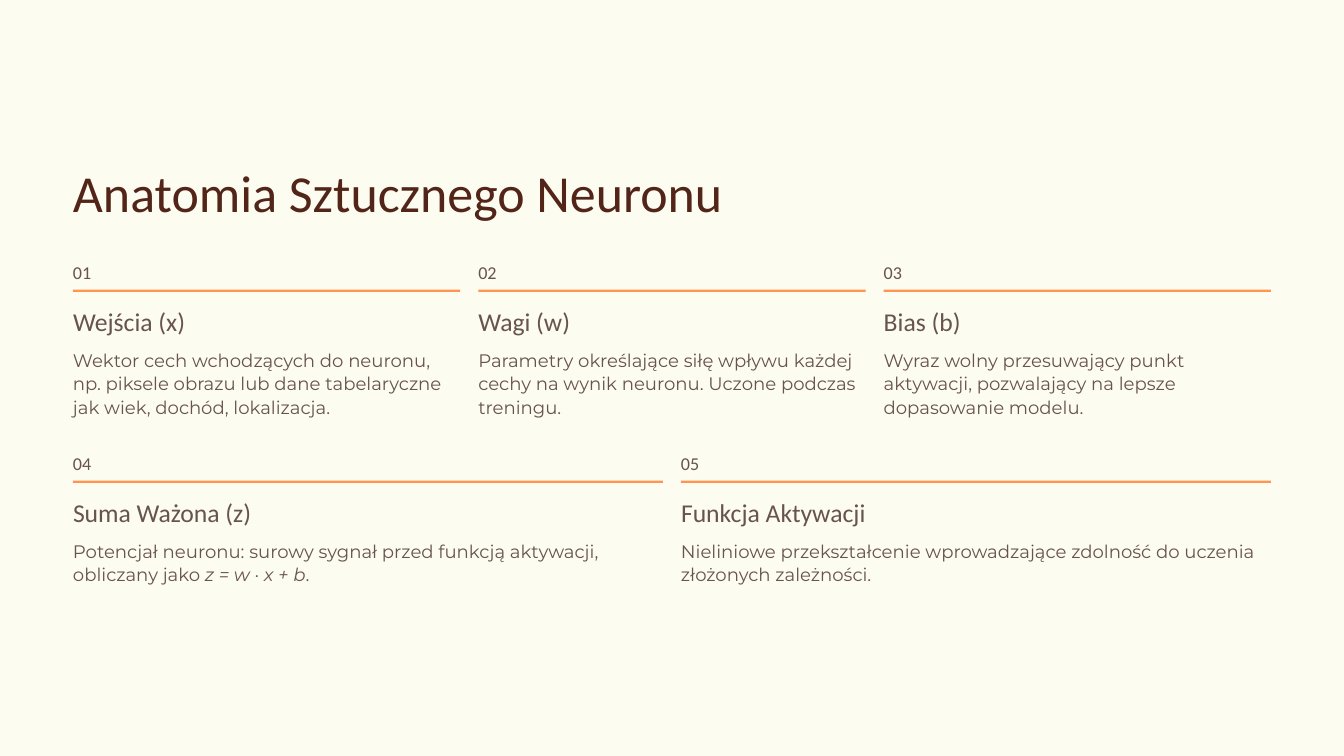
from dataclasses import dataclass

from pptx import Presentation
from pptx.dml.color import RGBColor
from pptx.enum.shapes import MSO_SHAPE
from pptx.slide import Slide
from pptx.util import Pt

CREAM = RGBColor(0xFD, 0xFC, 0xF0)
ORANGE = RGBColor(0xFF, 0x95, 0x4F)
BROWN = RGBColor(0x53, 0x24, 0x18)
TAUPE = RGBColor(0x67, 0x53, 0x4F)

LEFT = 62.6
CONTENT_WIDTH = 1026.8
GAP = 15.5


@dataclass(frozen=True)
class TextStyle:
    font: str
    size: float
    line_spacing: float
    color: RGBColor
    wrap: bool = False


@dataclass(frozen=True)
class Run:
    text: str
    italic: bool = False


@dataclass(frozen=True)
class Card:
    heading: str
    body: tuple[Run, ...]


@dataclass(frozen=True)
class Row:
    top: float
    body_height: float
    cards: tuple[Card, ...]


TITLE = TextStyle("Calibri", 44.5, 58, BROWN)
NUMBER = TextStyle("Calibri", 15.5, 20, TAUPE)
HEADING = TextStyle("Calibri", 22, 29, TAUPE)
BODY = TextStyle("Montserrat", 15.5, 20, TAUPE, wrap=True)

ROWS = (
    Row(222.6, 61, (
        Card("Wejścia (x)", (Run(
            "Wektor cech wchodzących do neuronu, np. piksele obrazu "
            "lub dane tabelaryczne jak wiek, dochód, lokalizacja."),)),
        Card("Wagi (w)", (Run(
            "Parametry określające siłę wpływu każdej cechy na wynik "
            "neuronu. Uczone podczas treningu."),)),
        Card("Bias (b)", (Run(
            "Wyraz wolny przesuwający punkt aktywacji, pozwalający "
            "na lepsze dopasowanie modelu."),)),
    )),
    Row(386.3, 41, (
        Card("Suma Ważona (z)", (
            Run("Potencjał neuronu: surowy sygnał przed funkcją aktywacji, "
                "obliczany jako "),
            Run("z = w · x + b", italic=True),
            Run("."))),
        Card("Funkcja Aktywacji", (Run(
            "Nieliniowe przekształcenie wprowadzające zdolność do uczenia "
            "złożonych zależności."),)),
    )),
)


def add_text(slide: Slide, left: float, top: float, width: float,
             height: float, runs: tuple[Run, ...], style: TextStyle) -> None:
    shape = slide.shapes.add_textbox(Pt(left), Pt(top), Pt(width), Pt(height))
    frame = shape.text_frame
    frame.margin_left = frame.margin_right = 0
    frame.margin_top = frame.margin_bottom = 0
    frame.word_wrap = style.wrap
    paragraph = frame.paragraphs[0]
    paragraph.line_spacing = Pt(style.line_spacing)
    for item in runs:
        run = paragraph.add_run()
        run.text = item.text
        run.font.name = style.font
        run.font.size = Pt(style.size)
        run.font.italic = item.italic
        run.font.color.rgb = style.color


def add_rule(slide: Slide, left: float, top: float, width: float) -> None:
    shape = slide.shapes.add_shape(
        MSO_SHAPE.RECTANGLE, Pt(left), Pt(top), Pt(width), Pt(2))
    shape.shadow.inherit = False
    shape.fill.solid()
    shape.fill.fore_color.rgb = ORANGE
    shape.line.fill.background()


def add_card(slide: Slide, number: int, card: Card, left: float, width: float,
             row: Row) -> None:
    add_text(slide, left, row.top, 16, 20, (Run(f"{number:02}"),), NUMBER)
    add_rule(slide, left, row.top + 25.6, width)
    add_text(slide, left, row.top + 37.3, 224.6, 29.5,
             (Run(card.heading),), HEADING)
    add_text(slide, left, row.top + 75.6, width, row.body_height,
             card.body, BODY)


def main() -> None:
    presentation = Presentation()
    presentation.slide_width = Pt(1152)
    presentation.slide_height = Pt(648)
    slide = presentation.slides.add_slide(presentation.slide_layouts[6])

    # Background
    slide.background.fill.solid()
    slide.background.fill.fore_color.rgb = CREAM

    # Title
    add_text(slide, LEFT, 133.2, 633.6, 58.3,
             (Run("Anatomia Sztucznego Neuronu"),), TITLE)

    # Numbered cards, spread evenly over each row
    number = 1
    for row in ROWS:
        count = len(row.cards)
        width = (CONTENT_WIDTH - GAP * (count - 1)) / count
        for column, card in enumerate(row.cards):
            left = LEFT + column * (width + GAP)
            add_card(slide, number, card, left, width, row)
            number += 1

    presentation.save("out.pptx")


if __name__ == "__main__":
    main()
